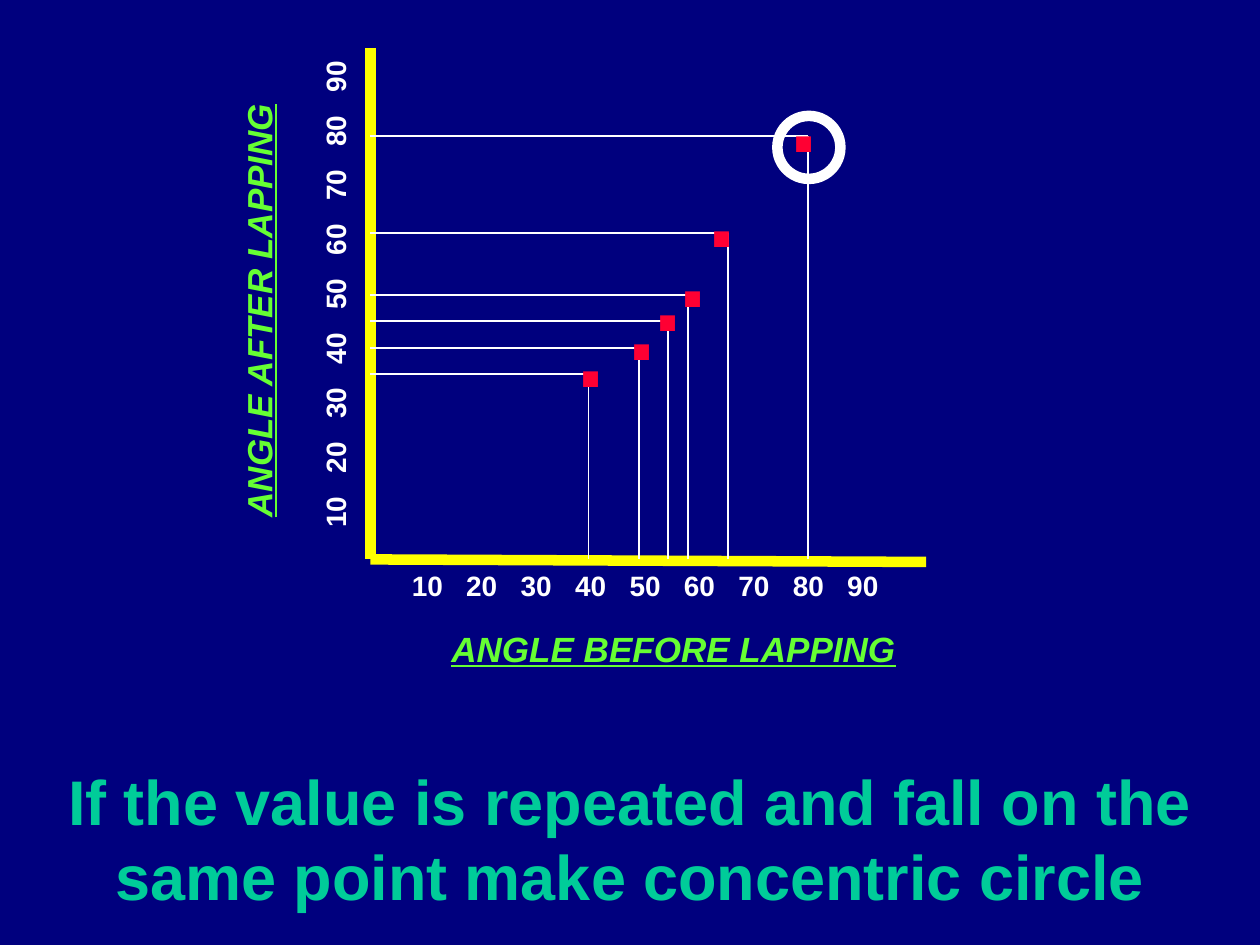
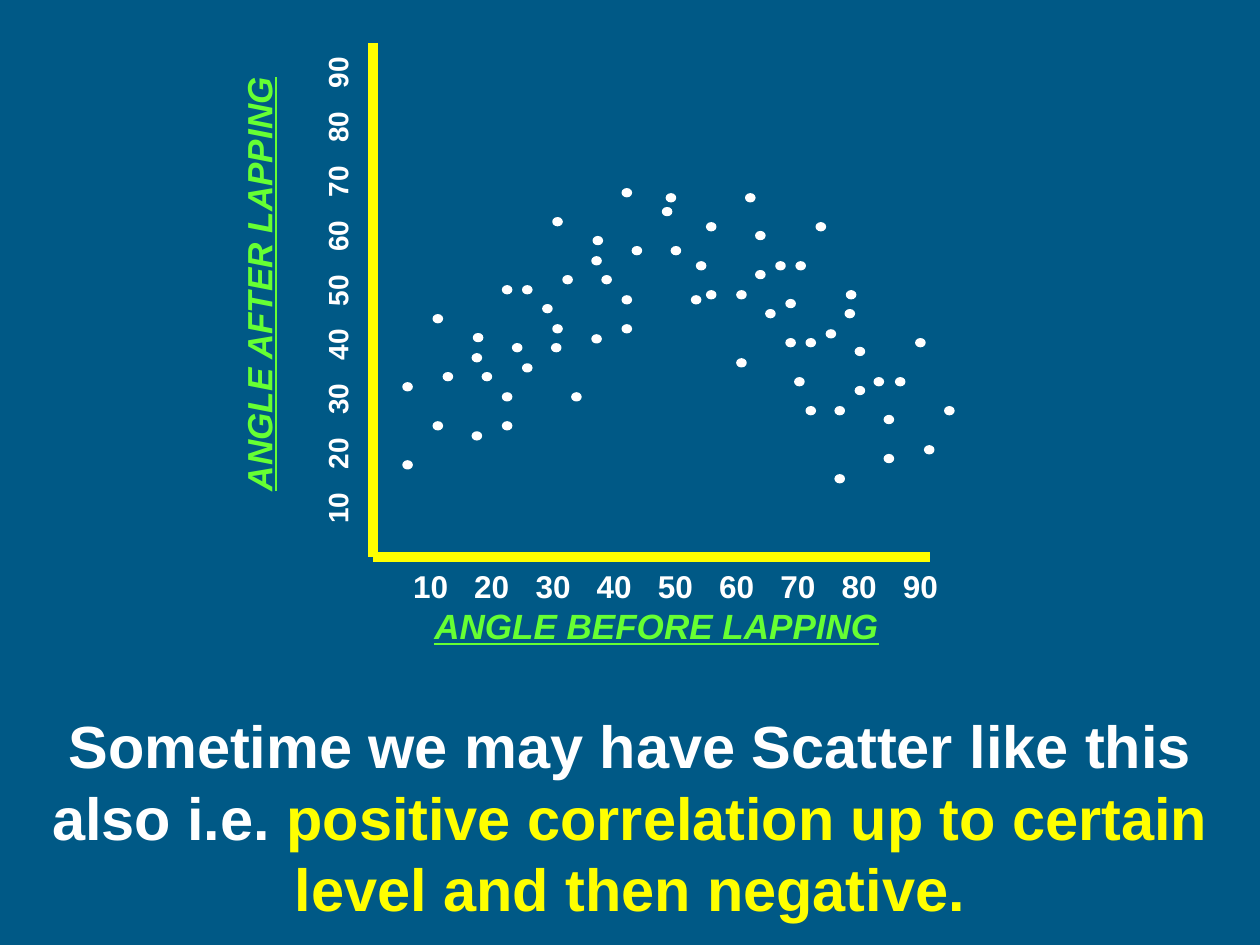
import lxml.etree
import pptx
import pptx.dml.color
import pptx.enum.shapes
import pptx.enum.text
import pptx.oxml.ns
import pptx.util

PX = 9144
FONT = "Arial"
COLORS = {
    "navy": "00007E",
    "teal": "005986",
    "mint": "00CC99",
    "lime": "66FF33",
    "yellow": "FFFF00",
    "white": "FFFFFF",
    "red": "FF0033",
}
ANGLES = range(10, 100, 10)
PITCH_PER_POINT = 2.7

READINGS = [
    ((467, 297), (448, 219)),
    ((507, 276), (488, 198)),
    ((530, 255), (509, 175)),
    ((546, 234), (529, 156)),
    ((578, 185), (552, 108)),
    ((641, 108), (617, 33)),
]

RISING_CLUSTER = [(399, 335), (320, 304), (344, 335), (320, 366),
                  (344, 250), (383, 296), (376, 265), (352, 296)]
RISING_SHIFTS = [(0, 0), (55, -23), (95, -77), (150, -100)]
FALLING_CLUSTER = [(561, 231), (592, 154), (561, 177), (529, 154),
                   (648, 177), (600, 215), (632, 208), (600, 184)]
FALLING_SHIFTS = [(0, 0), (24, 54), (79, 92), (102, 146)]


def emu(*lengths):
    return [pptx.util.Emu(round(length * PX)) for length in lengths]


def rgb(color):
    return pptx.dml.color.RGBColor.from_string(COLORS[color])


class Deck:
    def __init__(self):
        self.prs = pptx.Presentation()
        self.prs.slide_width, self.prs.slide_height = emu(1000, 750)
        self.slide = None

    def new_slide(self, background):
        self.slide = self.prs.slides.add_slide(self.prs.slide_layouts[6])
        fill = self.slide.background.fill
        fill.solid()
        fill.fore_color.rgb = rgb(background)

    def text(self, box, runs, size, centered=False, slanted=False, wrap=True, rotation=0):
        frame_box = self.slide.shapes.add_textbox(*emu(*box))
        frame_box.rotation = rotation
        frame = frame_box.text_frame
        frame.word_wrap = wrap
        frame.auto_size = pptx.enum.text.MSO_AUTO_SIZE.SHAPE_TO_FIT_TEXT
        paragraph = frame.paragraphs[0]
        align = pptx.enum.text.PP_ALIGN
        paragraph.alignment = align.CENTER if centered else align.LEFT
        for words, color in runs:
            run = paragraph.add_run()
            run.text = words
            run.font.name = FONT
            run.font.size = pptx.util.Pt(size)
            run.font.bold = True
            run.font.italic = slanted
            run.font.underline = slanted
            run.font.color.rgb = rgb(color)
        return frame

    def line(self, start, end, color="white", weight=1):
        connector = self.slide.shapes.add_connector(
            pptx.enum.shapes.MSO_CONNECTOR.STRAIGHT, *emu(*start, *end))
        connector.line.color.rgb = rgb(color)
        connector.line.width = pptx.util.Pt(weight)
        properties = connector._element.spPr
        lxml.etree.SubElement(properties, pptx.oxml.ns.qn("a:effectLst"))

    def circle(self, box, weight=1, filled=True):
        oval = self.slide.shapes.add_shape(pptx.enum.shapes.MSO_SHAPE.OVAL, *emu(*box))
        oval.shadow.inherit = False
        if filled:
            oval.fill.solid()
            oval.fill.fore_color.rgb = rgb("white")
        else:
            oval.fill.background()
        oval.line.color.rgb = rgb("white")
        oval.line.width = pptx.util.Pt(weight)

    def axes(self, top, corner, end):
        self.line(top, corner, "yellow", 6)
        self.line(corner, end, "yellow", 6)

    def axis_titles(self, before_box, after_box):
        self.text(before_box, [("ANGLE BEFORE LAPPING", "lime")], 20,
                  centered=True, slanted=True)
        self.text(after_box, [("ANGLE AFTER LAPPING", "lime")], 20,
                  slanted=True, rotation=270)

    def scale(self, box, size, rotation=0):
        labels = "\t".join(str(angle) for angle in ANGLES)
        frame = self.text(box, [(labels, "white")], size, rotation=rotation)
        frame.margin_right = 0
        properties = frame.paragraphs[0]._p.get_or_add_pPr()
        stops = lxml.etree.SubElement(properties, pptx.oxml.ns.qn("a:tabLst"))
        for step in range(1, len(ANGLES)):
            position, = emu(step * size * PITCH_PER_POINT)
            lxml.etree.SubElement(stops, pptx.oxml.ns.qn("a:tab"),
                                  pos=str(int(position)), algn="l")

    def caption(self, box, runs, size):
        self.text(box, runs, size, centered=True)


def build_repeated_value(deck):
    deck.new_slide("navy")
    deck.caption((0, 600, 1000, 130), [
        ("If the value is repeated and fall on the same point make concentric circle", "mint"),
    ], 36)
    deck.axes((294, 38), (294, 444), (735, 446))
    deck.axis_titles((294, 493, 481, 43), (10, 204, 390, 43))
    deck.scale((317, 446, 390, 37), 16)
    deck.scale((71, 215, 390, 37), 16, rotation=270)
    for (x, y), _ in READINGS:
        deck.line((294, y), (x, y))
        deck.line((x, y), (x, 444))
    for _, (left, top) in READINGS:
        deck.text((left, top, 43, 110), [(".", "red")], 60, wrap=False)
    deck.circle((617, 92, 50, 50), weight=6, filled=False)


def build_rise_and_fall(deck):
    deck.new_slide("teal")
    deck.caption((0, 558, 1000, 180), [
        ("Sometime we may have Scatter like this also i.e. ", "white"),
        ("positive correlation up to certain level and then negative.", "yellow"),
    ], 34)
    deck.axis_titles((267, 475, 508, 43), (-3, 170, 416, 43))
    deck.axes((296, 34), (296, 442), (738, 442))
    deck.scale((318, 445, 437, 40), 18)
    deck.scale((73, 212, 390, 37), 16, rotation=270)
    for cluster, shifts in ((RISING_CLUSTER, RISING_SHIFTS),
                            (FALLING_CLUSTER, FALLING_SHIFTS)):
        for right, down in shifts:
            for x, y in cluster:
                deck.circle((x + right, y + down, 7, 6))


def main():
    deck = Deck()
    build_repeated_value(deck)
    build_rise_and_fall(deck)
    deck.prs.save("out.pptx")


if __name__ == "__main__":
    main()
